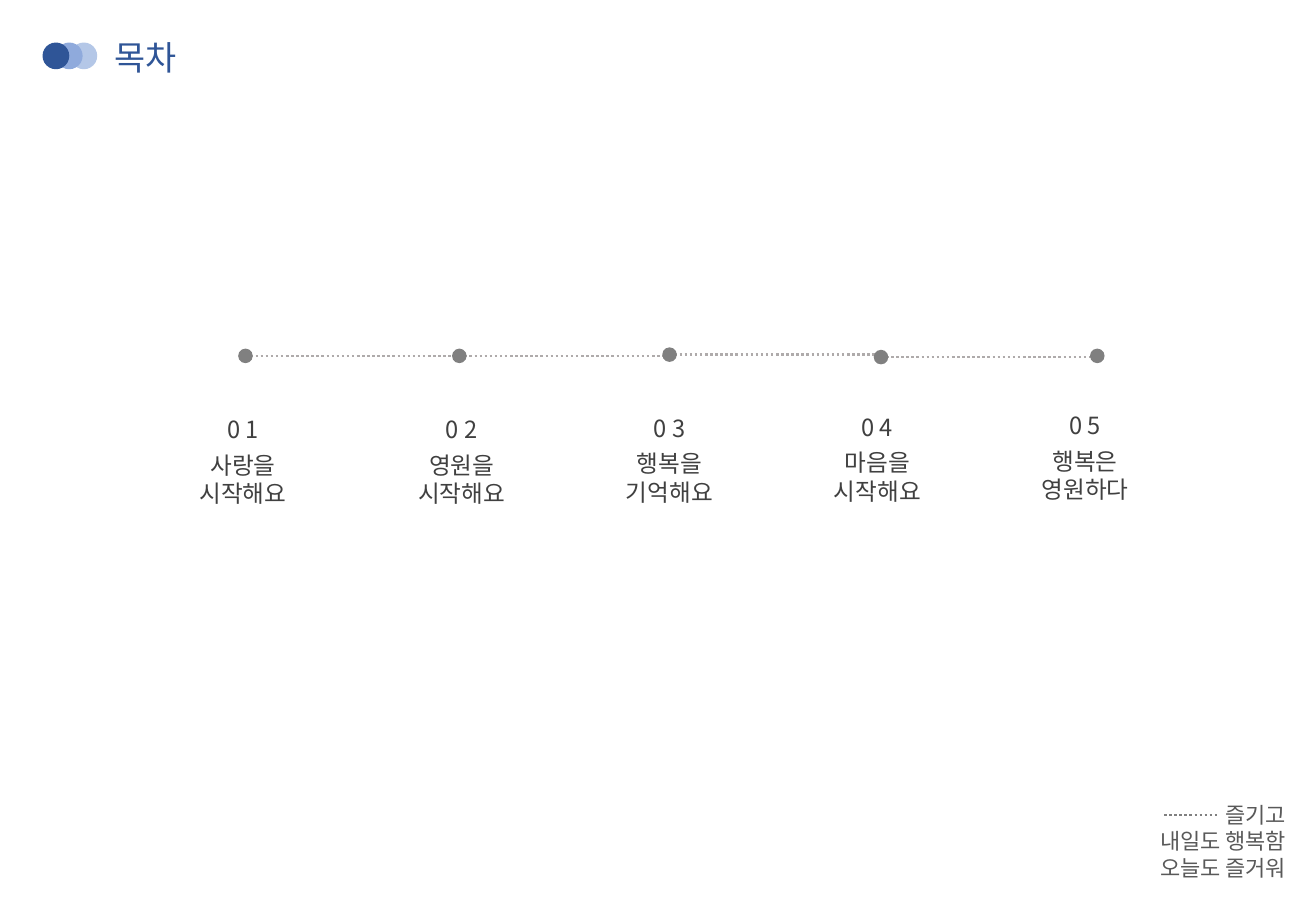
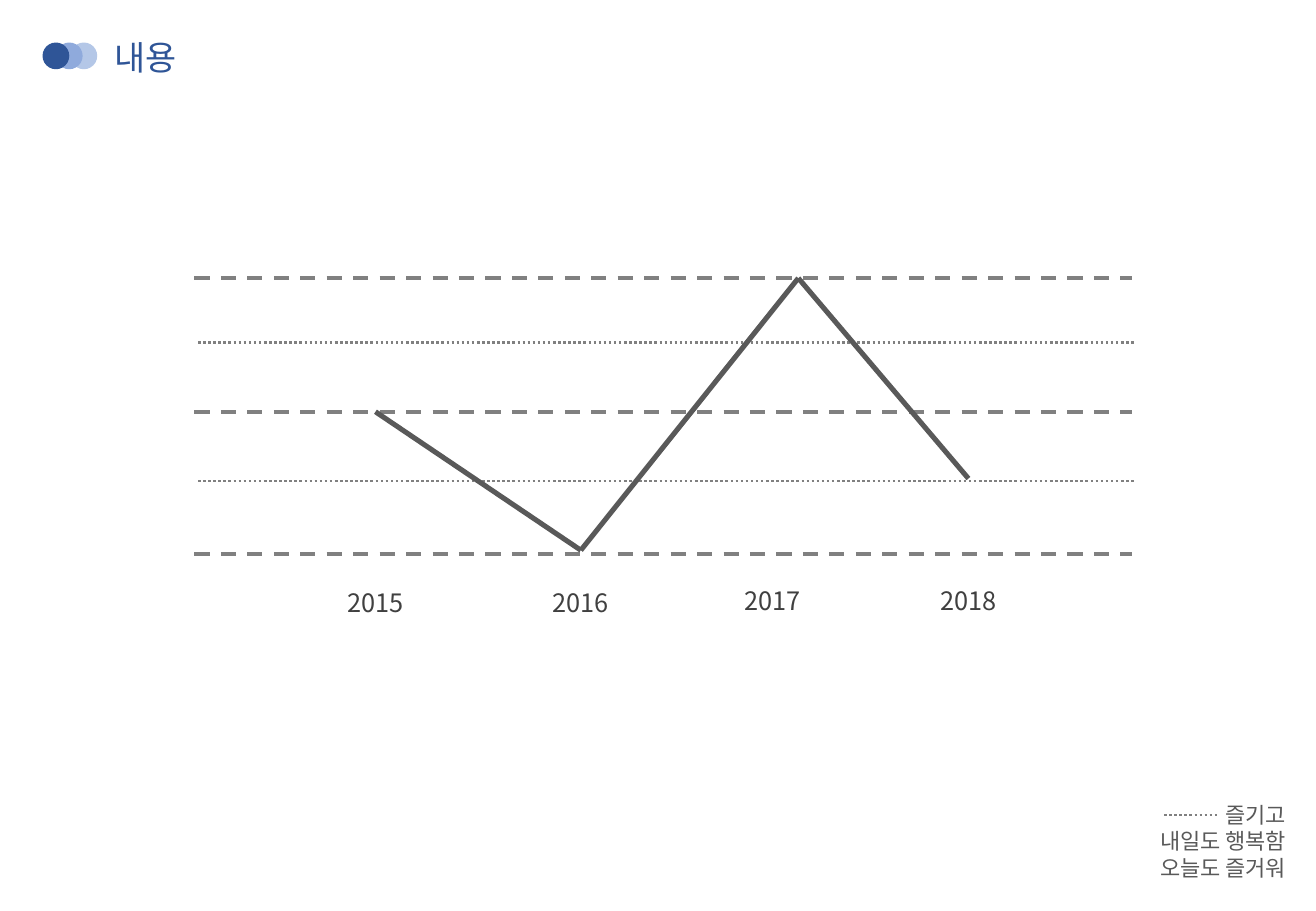
from itertools import pairwise

from lxml.etree import SubElement
from pptx import Presentation
from pptx.dml.color import RGBColor
from pptx.enum.dml import MSO_LINE
from pptx.enum.shapes import MSO_CONNECTOR, MSO_SHAPE
from pptx.enum.text import MSO_AUTO_SIZE, PP_ALIGN
from pptx.oxml.ns import qn
from pptx.util import Pt

PX = 9144  # EMU per px, 100 px to the inch
FONT = "Noto Sans CJK KR"
COLORS = {
    "navy": "2F5597",
    "blue": "8FAADC",
    "pale": "B4C7E7",
    "text": "404040",
    "dark": "595959",
    "gray": "808080",
    "track": "AFABAB",
}
DOT_SIZE = 12

# Dot left and top, label centre and top, number, label lines
AGENDA = [
    (196, 287, 200, 325, "0 1", ["사랑을", "시작해요"]),
    (372, 287, 380, 325, "0 2", ["영원을", "시작해요"]),
    (545, 286, 551, 324, "0 3", ["행복을", "기억해요"]),
    (719, 288, 722, 323, "0 4", ["마음을", "시작해요"]),
    (897, 287, 893, 322, "0 5", ["행복은", "영원하다"]),
]
# Centre and top of each year
YEARS = [("2015", 309, 466), ("2016", 478, 466), ("2017", 636, 464), ("2018", 797, 464)]
TREND = [(309, 339), (478, 453), (657, 229), (797, 394)]
MAJOR_LEVELS = [229, 339, 456]
MINOR_LEVELS = [282, 396]


def rgb(color):
    return RGBColor.from_string(COLORS[color])


def add_circle(slide, left, top, size, color):
    circle = slide.shapes.add_shape(
        MSO_SHAPE.OVAL, left * PX, top * PX, size * PX, size * PX)
    circle.shadow.inherit = False
    circle.fill.solid()
    circle.fill.fore_color.rgb = rgb(color)
    circle.line.fill.background()


def add_line(slide, start, end, color, width, dash=None):
    line = slide.shapes.add_connector(
        MSO_CONNECTOR.STRAIGHT, *(value * PX for value in (*start, *end)))
    line.line.color.rgb = rgb(color)
    line.line.width = Pt(width)
    if dash is not None:
        line.line.dash_style = dash
    SubElement(line._element.spPr, qn("a:effectLst"))


def add_text(slide, box, lines, size, color, align=None, spacing=None):
    frame = slide.shapes.add_textbox(*(value * PX for value in box)).text_frame
    frame.word_wrap = True
    frame.auto_size = MSO_AUTO_SIZE.SHAPE_TO_FIT_TEXT
    for index, text in enumerate(lines):
        paragraph = frame.add_paragraph() if index else frame.paragraphs[0]
        paragraph.alignment = align
        paragraph.line_spacing = spacing
        run = paragraph.add_run()
        run.text = text
        run.font.size = Pt(size)
        run.font.color.rgb = rgb(color)
        run.font.name = FONT
        SubElement(run.font._element, qn("a:ea"), typeface=FONT)


def add_centered(slide, center, top, width, height, lines, size, spacing=None):
    box = (center - width // 2, top, width, height)
    add_text(slide, box, lines, size, "text", PP_ALIGN.CENTER, spacing)


def new_slide(prs, title):
    slide = prs.slides.add_slide(prs.slide_layouts[6])
    # Title with overlapping circles
    for left, color in ((58, "pale"), (46, "blue"), (35, "navy")):
        add_circle(slide, left, 35, 22, color)
    add_text(slide, (84, 25, 524, 44), [title], 20, "navy")
    # Footer motto
    add_text(slide, (910, 655, 158, 76), ["즐기고", "내일도 행복함", "오늘도 즐거워"],
             13, "dark", PP_ALIGN.RIGHT)
    add_line(slide, (958, 671), (1002, 671), "gray", 1.5, MSO_LINE.ROUND_DOT)
    return slide


def build_agenda(prs):
    slide = new_slide(prs, "목차")
    # Dotted track between the dots
    radius = DOT_SIZE // 2
    centers = [(left + radius, top + radius) for left, top, *_ in AGENDA]
    for (start, y), (end, _) in pairwise(centers):
        add_line(slide, (start, y), (end, y), "track", 1.5, MSO_LINE.ROUND_DOT)
    # Dots with number and label
    for left, top, center, label_top, number, label in AGENDA:
        add_circle(slide, left, top, DOT_SIZE, "gray")
        add_centered(slide, center, label_top, 60, 45, [number], 14, 1.5)
        add_centered(slide, center, label_top + 41, 170, 57, label, 14)


def build_trend(prs):
    slide = new_slide(prs, "내용")
    # Grid levels
    for y in MAJOR_LEVELS:
        add_line(slide, (160, y), (932, y), "gray", 2.25, MSO_LINE.DASH)
    for y in MINOR_LEVELS:
        add_line(slide, (163, y), (935, y), "gray", 1.5, MSO_LINE.ROUND_DOT)
    # Years
    for year, center, top in YEARS:
        add_centered(slide, center, top, 224, 44, [year], 15, 1.5)
    # Trend line
    for start, end in pairwise(TREND):
        add_line(slide, start, end, "dark", 3)


def main():
    prs = Presentation()
    prs.slide_width, prs.slide_height = 1083 * PX, 750 * PX
    build_agenda(prs)
    build_trend(prs)
    prs.save("out.pptx")


if __name__ == "__main__":
    main()
